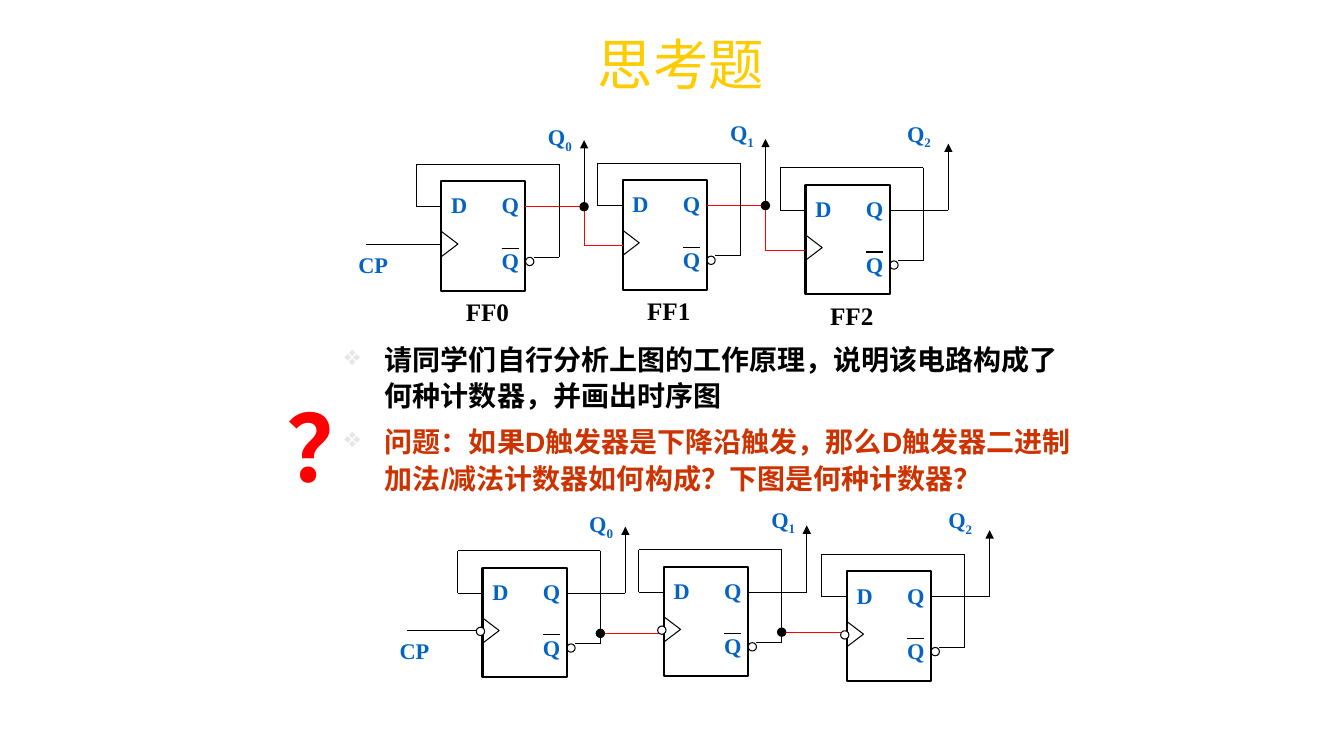
import itertools
import pptx
import pptx.dml.color
import pptx.enum.shapes
import pptx.enum.text
import pptx.oxml.ns
import pptx.util
from lxml import etree

Cm, Pt, qn = pptx.util.Cm, pptx.util.Pt, pptx.oxml.ns.qn
SHAPE = pptx.enum.shapes.MSO_SHAPE
ALIGN = pptx.enum.text.PP_ALIGN

# Content
TITLE = "思考题"
QUESTIONS = [
    ("请同学们自行分析上图的工作原理，说明该电路构成了何种计数器，并画出时序图", "000000"),
    ("问题：如果D触发器是下降沿触发，那么D触发器二进制加法/减法计数器如何构成？下图是何种计数器？", "CC3300"),
]
BLACK, RED, BLUE = "000000", "FF0000", "0563C1"
SERIF, SANS, CJK = "Times New Roman", "Arial", "Noto Sans CJK SC"

# Geometry in cm; everything in a flip-flop is measured from its top left corner
CIRCUITS = [  # origin, falling edge
    ((11.12, 4.57), False),
    ((12.16, 14.31), True),
]
STAGES = [(0, 0), (4.57, -0.03), (9.18, 0.09)]
OUTPUT_LABELS = [(2.44, -1.57), (2.46, -1.65), (2.31, -1.75)]
BOX_W, BOX_H = 2.12, 2.76
PIN_Y, CLOCK_Y, NODE_Y = 0.64, 1.58, 1.65
OUT_X, LOOP_X = 3.6, 2.97
FEEDBACK = [(2.33, 1.91), (LOOP_X, 1.91), (LOOP_X, -0.43),
            (-0.63, -0.43), (-0.63, PIN_Y), (0, PIN_Y)]
PIN_LABELS = [("D", 0, 0.21, 0.85), ("Q", 1.27, 0.21, 1.06), ("Q", 1.27, 1.61, 1.06)]


def rgb(value):
    return pptx.dml.color.RGBColor.from_string(value)


def add_run(p, text, size, color, font, bold=True):
    r = p.add_run()
    r.text = text
    r.font.size, r.font.bold, r.font.name = Pt(size), bold, font
    r.font.color.rgb = rgb(color)
    etree.SubElement(r.font._element, qn("a:ea"), typeface=CJK)
    return r


def add_box(shapes, x, y, w, h, wrap=True, grow=True):
    tf = shapes.add_textbox(Cm(x), Cm(y), Cm(w), Cm(h)).text_frame
    tf.word_wrap = wrap
    if grow:
        tf.auto_size = pptx.enum.text.MSO_AUTO_SIZE.SHAPE_TO_FIT_TEXT
    return tf


def add_label(shapes, text, x, y, w, h=0.86, size=16, color=BLUE, font=SERIF,
              align=ALIGN.JUSTIFY, wrap=True, sub="", bold=True, grow=True):
    tf = add_box(shapes, x, y, w, h, wrap, grow)
    p = tf.paragraphs[0]
    p.alignment, p.line_spacing = align, 0.9
    add_run(p, text, size, color, font, bold)
    if sub:
        add_run(p, sub, size, color, font).font._element.set("baseline", "-25000")
    return tf


def add_wire(shapes, points, color=BLACK, arrow=False):
    for (x1, y1), (x2, y2) in itertools.pairwise(points):
        c = shapes.add_connector(pptx.enum.shapes.MSO_CONNECTOR.STRAIGHT,
                                 Cm(x1), Cm(y1), Cm(x2), Cm(y2))
        c.line.width, c.line.color.rgb = Pt(0.75), rgb(color)
        spPr = c._element.spPr
        if arrow:
            etree.SubElement(spPr.find(qn("a:ln")), qn("a:tailEnd"), type="triangle")
        etree.SubElement(spPr, qn("a:effectLst"))


def add_outline(shapes, kind, x, y, w, h, fill=None, width=0.75):
    sp = shapes.add_shape(kind, Cm(x), Cm(y), Cm(w), Cm(h))
    sp.shadow.inherit = False
    sp.line.width, sp.line.color.rgb = Pt(width), rgb(BLACK)
    if fill:
        sp.fill.solid()
        sp.fill.fore_color.rgb = rgb(fill)
    else:
        sp.fill.background()
    return sp


def add_circle(shapes, cx, cy, fill=None, d=0.21):
    add_outline(shapes, SHAPE.OVAL, cx - d / 2, cy - d / 2, d, d, fill)


def add_flip_flop(shapes, x, y, out_color):
    add_outline(shapes, SHAPE.RECTANGLE, x, y, BOX_W, BOX_H, width=1.5)
    for text, dx, dy, w in PIN_LABELS:
        add_label(shapes, text, x + dx, y + dy, w)
    add_wire(shapes, [(x + 1.52, y + 1.69), (x + 1.95, y + 1.69)])
    add_circle(shapes, x + 2.23, y + 2.02)
    add_wire(shapes, [(x + BOX_W, y + PIN_Y), (x + OUT_X, y + PIN_Y)], out_color)
    add_wire(shapes, [(x + dx, y + dy) for dx, dy in FEEDBACK])
    add_outline(shapes, SHAPE.ISOSCELES_TRIANGLE,
                x - 0.11, y + CLOCK_Y - 0.21, 0.64, 0.42).rotation = 90


def add_circuit(s, origin, falling):
    shapes = s.shapes.add_group_shape().shapes
    spots = [(origin[0] + dx, origin[1] + dy) for dx, dy in STAGES]
    last = len(spots) - 1

    # Flip-flops and the clock input
    for i, (x, y) in enumerate(spots):
        add_flip_flop(shapes, x, y, BLACK if falling or i == last else RED)
    x, y = spots[0]
    add_wire(shapes, [(x - 1.9, y + CLOCK_Y), (x, y + CLOCK_Y)])
    add_label(shapes, "CP", x - 2.34, y + 1.7, 1.7)

    # Outputs
    for i, (x, y) in enumerate(spots):
        add_wire(shapes, [(x + OUT_X, y + PIN_Y), (x + OUT_X, y - 1.04)], arrow=True)
        dx, dy = OUTPUT_LABELS[i]
        add_label(shapes, "Q", x + dx, y + dy, 1.5, sub=str(i))

    # Clock links between neighbours
    for (x, y), (next_x, next_y) in itertools.pairwise(spots):
        if falling:
            node = (x + LOOP_X, y + NODE_Y)
            link = [node, (next_x, y + NODE_Y)]
        else:
            node = (x + OUT_X, y + PIN_Y)
            link = [node, (x + OUT_X, next_y + NODE_Y), (next_x, next_y + NODE_Y)]
        add_wire(shapes, link, RED)
        add_circle(shapes, *node, fill=BLACK)

    # Inverted clock pins, or names under the boxes
    for i, (x, y) in enumerate(spots):
        if falling:
            add_circle(shapes, x - 0.05, y + 1.6, "FFFFFF")
        else:
            add_label(s.shapes, f"FF{i}", x + 0.35, y + 2.86, 1.63, 0.94, 18, BLACK,
                      align=ALIGN.CENTER, wrap=False)


def add_questions(s):
    tf = add_box(s.shapes, 8.43, 8.41, 18.97, 4.24)
    for i, (text, color) in enumerate(QUESTIONS):
        p = tf.paragraphs[0] if i == 0 else tf.add_paragraph()
        pPr = p._p.get_or_add_pPr()
        pPr.set("marL", str(Cm(1.02)))
        pPr.set("indent", str(-Cm(1.02)))
        etree.SubElement(etree.SubElement(pPr, qn("a:buClr")), qn("a:srgbClr"), val="E7E6E6")
        etree.SubElement(pPr, qn("a:buChar"), char="❖")
        p.line_spacing = 1.1
        if i:
            p.space_before = Pt(6)
        add_run(p, text, 20, color, SANS)


def main():
    prs = pptx.Presentation()
    prs.slide_width, prs.slide_height = Cm(33.87), Cm(19.05)
    s = prs.slides.add_slide(prs.slide_layouts[6])
    tf = add_label(s.shapes, TITLE, 14.82, 0.85, 19.05, 1.69, 39.6, "FFCC00", SANS,
                   ALIGN.LEFT, bold=False, grow=False)
    tf.vertical_anchor = pptx.enum.text.MSO_ANCHOR.MIDDLE
    add_questions(s)
    add_label(s.shapes, "？", 6.58, 10.01, 3.63, 2.87, 66, RED, CJK, ALIGN.CENTER)
    for origin, falling in CIRCUITS:
        add_circuit(s, origin, falling)
    prs.save("out.pptx")


if __name__ == "__main__":
    main()
